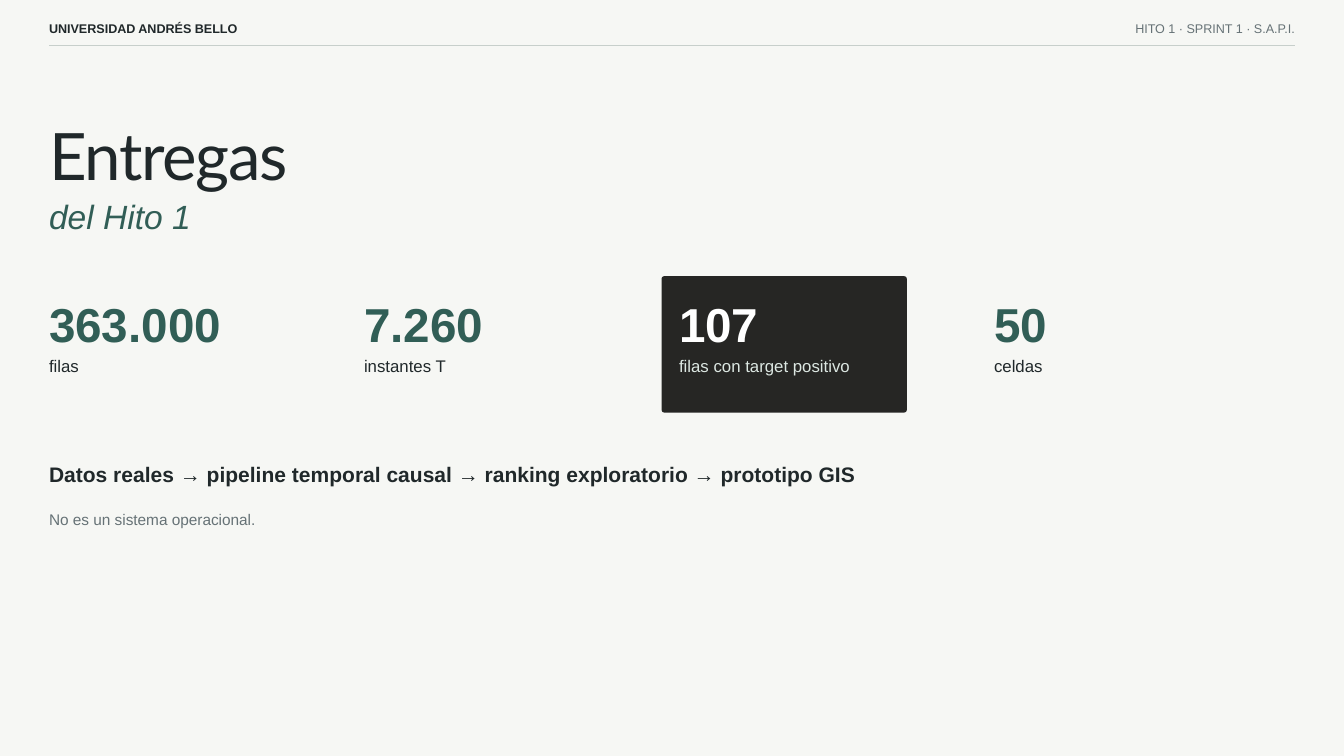
from dataclasses import dataclass

from lxml import etree
from pptx import Presentation, util as u
from pptx.dml.color import RGBColor
from pptx.enum import shapes, text
from pptx.oxml.ns import qn

COLORS = {
    "background": "F6F7F4",
    "ink": "20282A",
    "green": "315E56",
    "gray": "667276",
    "rule": "C7CFCB",
    "card": "262624",
    "white": "FFFFFF",
    "mint": "DCE7E2",
}
MARGIN = 0.73
CONTENT_WIDTH = 18.54
LINE_RATIO = 1.4
STAT_PITCH = 4.6875
STAT_WIDTH = 4.17


@dataclass(frozen=True)
class Style:
    size: float
    color: str
    font: str = "Arial"
    bold: bool = False
    italic: bool = False
    line: float | None = None


@dataclass(frozen=True)
class Label:
    words: str
    left: float
    top: float
    width: float
    height: float
    style: Style
    align: text.PP_ALIGN = text.PP_ALIGN.LEFT


@dataclass(frozen=True)
class Stat:
    value: str
    caption: str
    highlighted: bool = False


TITLE = Label("Entregas", MARGIN, 1.71, 9.1, 1.16, Style(70, "ink", "Lato", line=84))
LABELS = [
    Label("UNIVERSIDAD ANDRÉS BELLO", MARGIN, 0.27, 5.21, 0.26, Style(13.5, "ink", bold=True)),
    Label("HITO 1 · SPRINT 1 · S.A.P.I.", 14.06, 0.27, 5.21, 0.26, Style(13.5, "gray"),
          text.PP_ALIGN.RIGHT),
    Label("del Hito 1", MARGIN, 2.81, 9.1, 0.7, Style(36, "green", italic=True)),
    Label("Datos reales → pipeline temporal causal → ranking exploratorio → prototipo GIS",
          MARGIN, 6.81, CONTENT_WIDTH, 0.44, Style(22.5, "ink", bold=True)),
    Label("No es un sistema operacional.", MARGIN, 7.54, CONTENT_WIDTH, 0.33,
          Style(16.5, "gray")),
]
STATS = [
    Stat("363.000", "filas"),
    Stat("7.260", "instantes T"),
    Stat("107", "filas con target positivo", highlighted=True),
    Stat("50", "celdas"),
]


def color(name: str) -> RGBColor:
    return RGBColor.from_string(COLORS[name])


def write_label(shape, label: Label) -> None:
    shape.left, shape.top = u.Inches(label.left), u.Inches(label.top)
    shape.width, shape.height = u.Inches(label.width), u.Inches(label.height)
    frame = shape.text_frame
    frame.word_wrap = True
    frame.auto_size = text.MSO_AUTO_SIZE.NONE
    frame.vertical_anchor = text.MSO_ANCHOR.TOP
    frame.margin_left = frame.margin_top = frame.margin_right = frame.margin_bottom = 0
    paragraph = frame.paragraphs[0]
    paragraph.text = label.words
    paragraph.alignment = label.align
    style = label.style
    paragraph.line_spacing = u.Pt(style.line or style.size * LINE_RATIO)
    paragraph.font.name = style.font
    paragraph.font.size = u.Pt(style.size)
    paragraph.font.bold = style.bold
    paragraph.font.italic = style.italic
    paragraph.font.color.rgb = color(style.color)


def add_label(slide, label: Label) -> None:
    write_label(slide.shapes.add_textbox(0, 0, 0, 0), label)


def add_title(slide, label: Label) -> None:
    title = slide.shapes.title
    write_label(title, label)
    run = title.text_frame.paragraphs[0].runs[0]
    run._r.get_or_add_rPr().set("spc", "-140")


def add_header_rule(slide) -> None:
    y = u.Inches(0.68)
    rule = slide.shapes.add_connector(
        shapes.MSO_CONNECTOR.STRAIGHT,
        u.Inches(MARGIN), y, u.Inches(MARGIN + CONTENT_WIDTH), y)
    rule.line.color.rgb = color("rule")
    rule.line.width = u.Pt(1.1)
    etree.SubElement(rule._element.spPr, qn("a:effectLst"))


def add_card(slide, left: float) -> None:
    card = slide.shapes.add_shape(
        shapes.MSO_SHAPE.ROUNDED_RECTANGLE,
        u.Inches(left), u.Inches(4.11), u.Inches(3.65), u.Inches(2.03))
    card.adjustments[0] = 0.02
    card.shadow.inherit = False
    card.fill.solid()
    card.fill.fore_color.rgb = color("card")
    card.line.fill.background()


def add_stat(slide, stat: Stat, left: float) -> None:
    value_color, caption_color = ("white", "mint") if stat.highlighted else ("green", "ink")
    if stat.highlighted:
        add_card(slide, left - 0.26)
    add_label(slide, Label(stat.value, left, 4.24, STAT_WIDTH, 0.98,
                           Style(51, value_color, bold=True)))
    add_label(slide, Label(stat.caption, left, 5.25, STAT_WIDTH, 0.36,
                           Style(18, caption_color)))


def main() -> None:
    presentation = Presentation()
    presentation.slide_width = u.Inches(20)
    presentation.slide_height = u.Inches(11.25)
    slide = presentation.slides.add_slide(presentation.slide_layouts[5])
    slide.background.fill.solid()
    slide.background.fill.fore_color.rgb = color("background")

    add_title(slide, TITLE)
    add_header_rule(slide)
    for label in LABELS:
        add_label(slide, label)
    for index, stat in enumerate(STATS):
        add_stat(slide, stat, MARGIN + index * STAT_PITCH)
    presentation.save("out.pptx")


if __name__ == "__main__":
    main()
